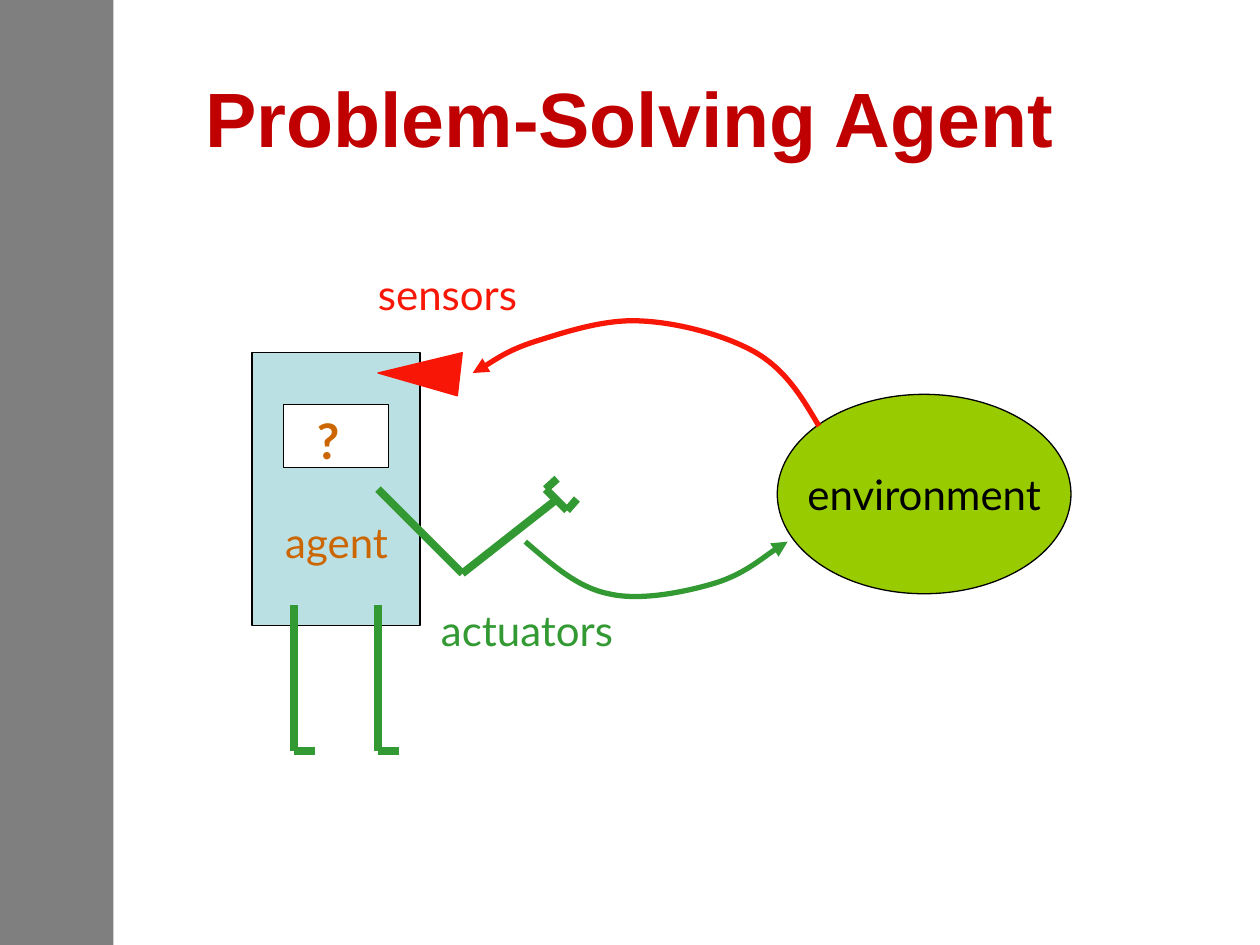
from dataclasses import dataclass

from lxml import etree
from pptx import Presentation
from pptx.dml.color import RGBColor
from pptx.enum.shapes import MSO_CONNECTOR, MSO_SHAPE
from pptx.enum.text import MSO_ANCHOR, MSO_AUTO_SIZE, PP_ALIGN
from pptx.oxml.ns import qn
from pptx.util import Cm, Pt

RECT, OVAL = MSO_SHAPE.RECTANGLE, MSO_SHAPE.OVAL
STRAIGHT = MSO_CONNECTOR.STRAIGHT
MIDDLE, TOP = MSO_ANCHOR.MIDDLE, MSO_ANCHOR.TOP
CENTER, LEFT = PP_ALIGN.CENTER, PP_ALIGN.LEFT
GROW = MSO_AUTO_SIZE.SHAPE_TO_FIT_TEXT


@dataclass(frozen=True)
class Theme:
    title: str = "C00000"
    black: str = "000000"
    white: str = "FFFFFF"
    body: str = "BBE0E3"
    label: str = "CC6600"
    sensor: str = "F81706"
    actuator: str = "339933"
    environment: str = "99CC00"
    title_font: str = "Arial"
    font: str = "Lato"
    title_size: float = 44
    mark_size: float = 28
    size: float = 24
    outline: float = 0.75
    arrow: float = 3
    limb: float = 4.5


T = Theme()


def rgb(color):
    return RGBColor.from_string(color)


def set_line(shape, color, width):
    shape.line.color.rgb = rgb(color)
    shape.line.width = Pt(width)


def write(shape, text, color, size=T.size, font=T.font, bold=False,
          align=LEFT, anchor=TOP, wrap=False):
    tf = shape.text_frame
    tf.text = text
    tf.word_wrap = wrap
    tf.vertical_anchor = anchor
    p = tf.paragraphs[0]
    p.alignment = align
    f = p.runs[0].font
    f.name, f.size, f.bold = font, Pt(size), bold
    f.color.rgb = rgb(color)


def add_text(s, box, text, color, **style):
    tb = s.shapes.add_textbox(*map(Cm, box))
    write(tb, text, color, **style)
    return tb


def add_label(s, box, text, color, **style):
    """Add a one-line text box that grows with its text."""
    add_text(s, box, text, color, **style).text_frame.auto_size = GROW


def add_block(s, kind, box, fill):
    sp = s.shapes.add_shape(kind, *map(Cm, box))
    sp.shadow.inherit = False
    sp.fill.solid()
    sp.fill.fore_color.rgb = rgb(fill)
    set_line(sp, T.black, T.outline)
    return sp


def add_side_bar(s, height):
    bar = add_block(s, RECT, (0, 0, 2.29, height), T.black)
    bar.line.fill.background()
    color = bar.fill._xPr.find(qn("a:solidFill"))[0]
    etree.SubElement(color, qn("a:alpha"), val="50000")


def add_outline(s, points, close):
    start, *rest = [(Cm(x), Cm(y)) for x, y in points]
    builder = s.shapes.build_freeform(*start)
    builder.add_line_segments(rest, close=close)
    sp = builder.convert_to_shape()
    sp.shadow.inherit = False
    return sp


def add_curved_arrow(s, points, color):
    """Draw a start point followed by Bezier triples (control, control, end)."""
    sp = add_outline(s, points, close=False)
    sp.fill.background()
    set_line(sp, color, T.arrow)
    path = next(sp._element.iter(qn("a:path")))
    steps = path.findall(qn("a:lnTo"))
    for i in range(0, len(steps), 3):
        curve = etree.SubElement(path, qn("a:cubicBezTo"))
        for step in steps[i:i + 3]:
            curve.append(step[0])
            path.remove(step)
    ln = sp._element.spPr.find(qn("a:ln"))
    etree.SubElement(ln, qn("a:tailEnd"), type="triangle")


def add_limb(s, start, end):
    c = s.shapes.add_connector(STRAIGHT, *map(Cm, start + end))
    set_line(c, T.actuator, T.limb)
    etree.SubElement(c._element.spPr, qn("a:effectLst"))


def add_arm(s):
    shoulder, elbow, wrist = (7.62, 9.86), (9.32, 11.56), (11.23, 10.06)
    palm_top, palm_bottom = (11, 9.86), (11.43, 10.29)
    for start, end in ((shoulder, elbow), (elbow, wrist),
                       (palm_top, palm_bottom),
                       (palm_top, (11.23, 9.65)),
                       (palm_bottom, (11.63, 10.06))):
        add_limb(s, start, end)


def add_leg(s, x):
    hip, heel, toe = (x, 12.19), (x, 15.14), (x + 0.42, 15.14)
    add_limb(s, heel, hip)
    add_limb(s, heel, toe)


def add_eye(s):
    eye = add_outline(s, [(7.62, 7.52), (9.32, 7.11), (9.22, 7.98)], close=True)
    eye.fill.solid()
    eye.fill.fore_color.rgb = rgb(T.sensor)
    set_line(eye, T.sensor, T.outline)


def main():
    prs = Presentation()
    prs.slide_width, prs.slide_height = Cm(25.4), Cm(19.05)
    s = prs.slides.add_slide(prs.slide_layouts[6])

    add_side_bar(s, 19.05)
    add_text(s, (1.27, 0.76, 22.86, 3.18), "Problem-Solving Agent", T.title,
             size=T.title_size, font=T.title_font, bold=True,
             align=CENTER, anchor=MIDDLE, wrap=True)

    environment = add_block(s, OVAL, (15.67, 7.95, 5.92, 4.02), T.environment)
    write(environment, "environment", T.black, align=CENTER, anchor=MIDDLE)
    add_curved_arrow(s, [
        (16.51, 8.59),
        (16.18, 8.03), (15.85, 7.47), (15.24, 7.11),
        (14.63, 6.76), (13.67, 6.5), (12.9, 6.47),
        (12.17, 6.43), (11.35, 6.71), (10.8, 6.88),
        (10.24, 7.06), (9.73, 7.42), (9.53, 7.52)], T.sensor)
    add_curved_arrow(s, [
        (10.59, 10.92),
        (11.13, 11.38), (11.63, 11.84), (12.27, 11.97),
        (12.9, 12.12), (13.79, 11.94), (14.4, 11.76),
        (14.99, 11.58), (15.62, 11.05), (15.88, 10.92)], T.actuator)

    add_block(s, RECT, (5.08, 7.11, 3.39, 5.5), T.body)
    add_label(s, (5.5, 10.29, 2.62, 1.27), "agent", T.label)
    add_block(s, RECT, (5.72, 8.15, 2.12, 1.27), T.white)
    add_label(s, (6.14, 8.16, 1.07, 1.45), "?", T.label,
              size=T.mark_size, bold=True)
    add_arm(s)
    for x in (5.92, 7.62):
        add_leg(s, x)
    add_eye(s)
    add_label(s, (7.37, 5.28, 3.33, 1.27), "sensors", T.sensor)
    add_label(s, (8.64, 12.07, 4, 1.27), "actuators", T.actuator)

    prs.save("out.pptx")


if __name__ == "__main__":
    main()
